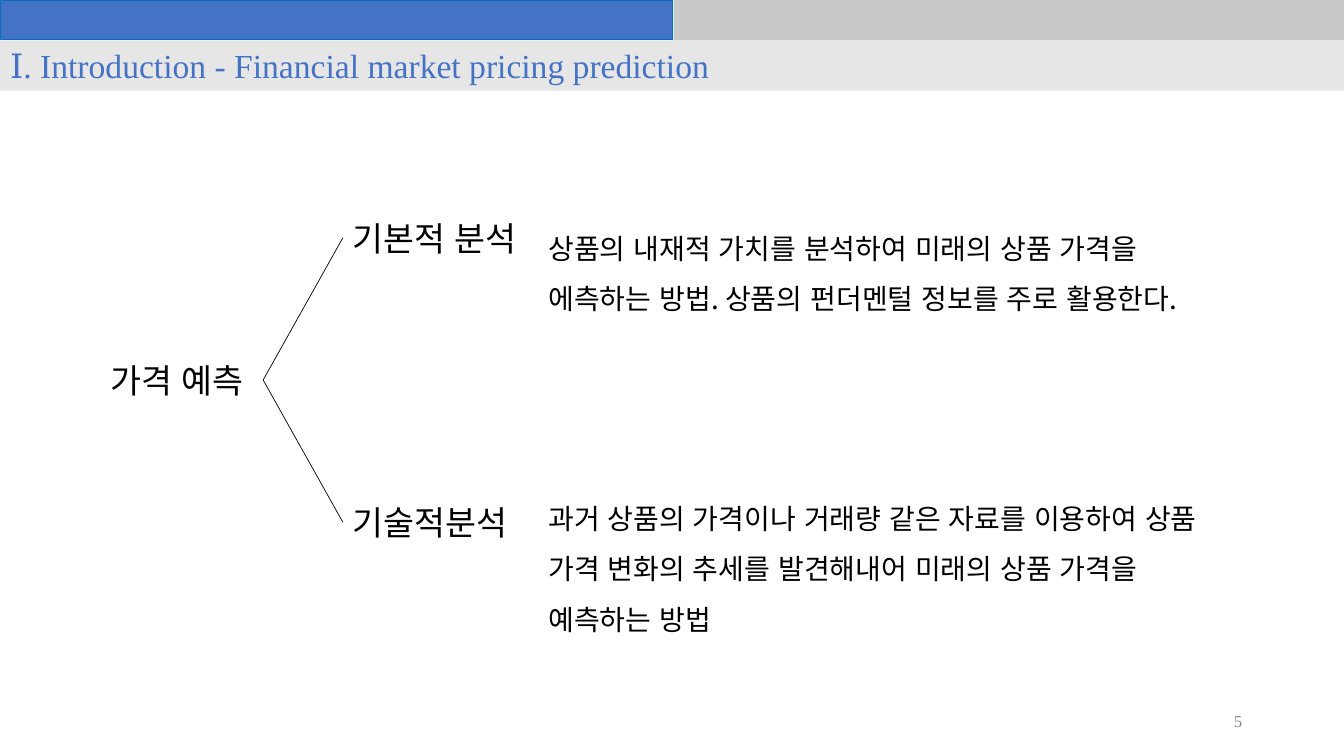
"""Build the slide on the two ways of predicting market prices."""
import pptx
import pptx.dml.color
import pptx.enum.lang
import pptx.enum.shapes
import pptx.enum.text
import pptx.oxml
import pptx.oxml.ns
import pptx.util
from pptx.util import Inches

TITLE = "Ⅰ. Introduction - Financial market pricing prediction"
PAGE = "5"
ROOT = ("가격 예측", (1, 3.52, 1.61, 0.5))
BRANCHES = [
    ("기본적 분석", (3.4, 2.11, 1.94, 0.5),
     "상품의 내재적 가치를 분석하여 미래의 상품 가격을 에측하는 방법. "
     "상품의 펀더멘털 정보를 주로 활용한다.", (5.34, 2.08, 7.08, 1.06)),
    ("기술적분석", (3.4, 4.93, 1.77, 0.5),
     "과거 상품의 가격이나 거래량 같은 자료를 이용하여 상품 가격 변화의 추세를 "
     "발견해내어 미래의 상품 가격을 예측하는 방법", (5.34, 4.76, 7, 1.57)),
]
COLORS = {"blue": "4472C4", "edge": "0070C0", "gray": "C9C9C9",
          "band": "E7E6E6", "text": "000000", "page": "8C8C8C"}
LATIN, KOREAN = "Times New Roman", "Noto Sans CJK KR"
BARS = [((0, 0, 6.67, 0.39), "blue", "edge"),
        ((6.68, 0, 6.65, 0.4), "gray", None)]
ALIGN = pptx.enum.text.PP_ALIGN
ANCHOR = pptx.enum.text.MSO_ANCHOR


def rgb(name):
    return pptx.dml.color.RGBColor.from_string(COLORS[name])


def place(sp, box):
    sp.left, sp.top, sp.width, sp.height = map(Inches, box)


def write(sp, text, size, font, color, align=ALIGN.LEFT, anchor=ANCHOR.TOP, spacing=1.0):
    tf = sp.text_frame
    tf.text = text
    tf.word_wrap = True
    tf.auto_size = pptx.enum.text.MSO_AUTO_SIZE.NONE
    tf.vertical_anchor = anchor
    p = tf.paragraphs[0]
    p.alignment = align
    p.line_spacing = spacing
    r = p.runs[0]
    r.font.size = pptx.util.Pt(size)
    r.font.name = font
    r.font.color.rgb = rgb(color)
    if font == KOREAN:
        r.font.language_id = pptx.enum.lang.MSO_LANGUAGE_ID.KOREAN
    ea = pptx.oxml.parse_xml(f'<a:ea {pptx.oxml.ns.nsdecls("a")} typeface="{font}"/>')
    r.font._element.find(pptx.oxml.ns.qn("a:latin")).addnext(ea)


def add_text(slide, box, *args, **kwargs):
    write(slide.shapes.add_textbox(*map(Inches, box)), *args, **kwargs)


def add_bar(slide, box, fill, edge):
    sp = slide.shapes.add_shape(pptx.enum.shapes.MSO_SHAPE.RECTANGLE, *map(Inches, box))
    sp.shadow.inherit = False
    sp.fill.solid()
    sp.fill.fore_color.rgb = rgb(fill)
    if edge:
        sp.line.color.rgb = rgb(edge)
        sp.line.width = pptx.util.Pt(1)
    else:
        sp.line.fill.background()


def add_branch_line(slide, root, label):
    start = root[0] + root[2], root[1] + root[3] / 2
    end = label[0], label[1] + label[3] / 2
    line = slide.shapes.add_connector(
        pptx.enum.shapes.MSO_CONNECTOR.STRAIGHT, *map(Inches, start + end))
    line.line.color.rgb = rgb("text")
    line.line.width = pptx.util.Pt(0.5)
    line._element.spPr.append(
        pptx.oxml.parse_xml(f'<a:effectLst {pptx.oxml.ns.nsdecls("a")}/>'))


def main():
    prs = pptx.Presentation()
    prs.slide_width, prs.slide_height = Inches(13.33), Inches(7.5)
    slide = prs.slides.add_slide(prs.slide_layouts[5])
    for bar in BARS:
        add_bar(slide, *bar)

    title = slide.shapes.title
    place(title, (0, 0.4, 13.33, 0.5))
    title.fill.solid()
    title.fill.fore_color.rgb = rgb("band")
    write(title, TITLE, 24, LATIN, "blue")

    add_text(slide, (9.42, 6.95, 3, 0.4), PAGE, 12, LATIN, "page",
             align=ALIGN.RIGHT, anchor=ANCHOR.MIDDLE)
    root_text, root_box = ROOT
    add_text(slide, root_box, root_text, 24, KOREAN, "text")
    for label, label_box, detail, detail_box in BRANCHES:
        add_text(slide, label_box, label, 24, KOREAN, "text")
        add_branch_line(slide, root_box, label_box)
        add_text(slide, detail_box, detail, 20, KOREAN, "text", spacing=1.5)
    prs.save("out.pptx")


if __name__ == "__main__":
    main()
